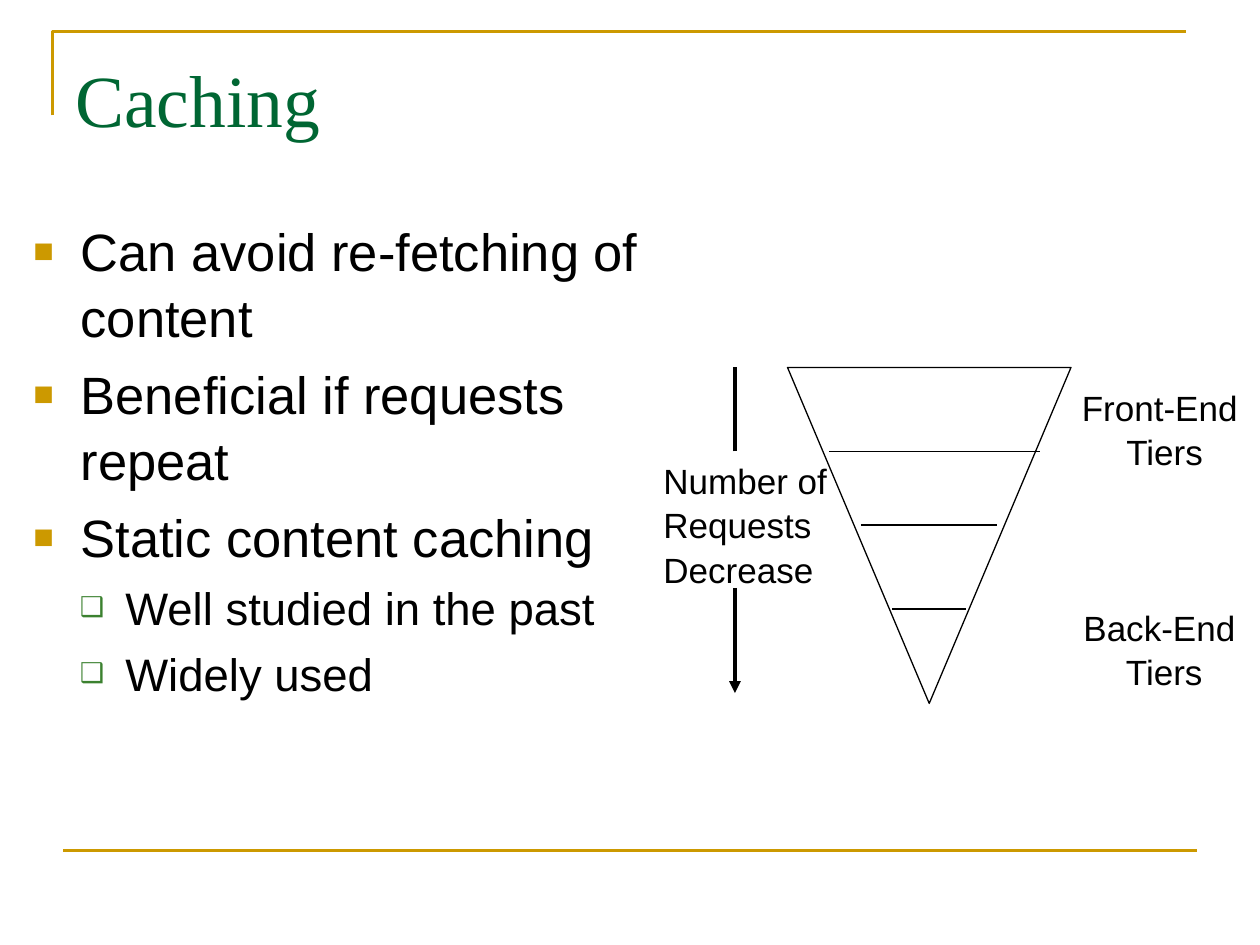
from typing import NamedTuple

import pptx
import pptx.dml.color
import pptx.enum.shapes
import pptx.enum.text
import pptx.oxml
import pptx.oxml.ns
import pptx.util
from lxml import etree

Pt = pptx.util.Pt
ALIGN = pptx.enum.text.PP_ALIGN
GOLD, GREEN, BLACK = "CC9900", "006633", "000000"
LINE_SPACING = 1.05


class Rule(NamedTuple):
    x1: float
    y1: float
    x2: float
    y2: float
    color: str = BLACK
    width: float = 0.75
    arrow: bool = False


class Label(NamedTuple):
    x: float
    y: float
    w: float
    h: float
    lines: tuple[str, ...]
    align: ALIGN = ALIGN.CENTER


class Level(NamedTuple):
    size: float
    left: float
    hanging: float
    bullet: str
    color: str
    percent: int


LEVELS = (
    Level(30, 27, 27, "■", GOLD, 65),
    Level(26, 52.5, 26, "❑", "3B812F", 60),
)
BODY = (
    (0, "Can avoid re-fetching of content"),
    (0, "Beneficial if requests repeat"),
    (0, "Static content caching"),
    (1, "Well studied in the past"),
    (1, "Widely used"),
)
RULES = (
    Rule(36, 486, 684, 486, GOLD, 1.5),
    Rule(474, 258, 594, 258),
    Rule(492, 300, 570, 300),
    Rule(510, 348, 552, 348),
    Rule(420, 258, 420, 210, width=2.25),
    Rule(420, 336, 420, 396, width=2.25, arrow=True),
)
LABELS = (
    Label(611, 216, 109, 55.4, ("Front-End ", "Tiers")),
    Label(612, 342, 106.6, 55.4, ("Back-End ", "Tiers")),
    Label(372, 258, 108, 79.5, ("Number of", "Requests", "Decrease"), ALIGN.LEFT),
)


def rgb(color: str) -> pptx.dml.color.RGBColor:
    return pptx.dml.color.RGBColor.from_string(color)


def add_child(parent, tag: str, **attrs: str):
    child = etree.SubElement(parent, pptx.oxml.ns.qn(tag))
    for name, value in attrs.items():
        child.set(name, value)
    return child


def set_outline(sp, color: str, width: float) -> None:
    sp.line.color.rgb = rgb(color)
    sp.line.width = Pt(width)


def add_rule(s, rule: Rule) -> None:
    cxn = s.shapes.add_connector(
        pptx.enum.shapes.MSO_CONNECTOR.STRAIGHT,
        Pt(rule.x1), Pt(rule.y1), Pt(rule.x2), Pt(rule.y2))
    set_outline(cxn, rule.color, rule.width)
    if rule.arrow:
        add_child(cxn.line._get_or_add_ln(), "a:tailEnd", type="triangle")
    add_child(cxn._element.spPr, "a:effectLst")


def add_corner(s) -> None:
    """Draw the gold angle around the top left of the title."""
    fb = s.shapes.build_freeform(Pt(30), Pt(66))
    fb.add_line_segments([(Pt(30), Pt(18)), (Pt(678), Pt(18))], close=False)
    sp = fb.convert_to_shape()
    sp.shadow.inherit = False
    sp.fill.background()
    set_outline(sp, GOLD, 1.5)


def add_funnel(s) -> None:
    """Draw the triangle of tiers, point down."""
    sp = s.shapes.add_shape(
        pptx.enum.shapes.MSO_SHAPE.ISOSCELES_TRIANGLE,
        Pt(450), Pt(210), Pt(162), Pt(192))
    sp._element.spPr.find(pptx.oxml.ns.qn("a:xfrm")).set("flipV", "1")
    sp.shadow.inherit = False
    sp.fill.background()
    set_outline(sp, BLACK, 0.75)


def add_frame(s, x: float, y: float, w: float, h: float, wrap: bool = True):
    tf = s.shapes.add_textbox(Pt(x), Pt(y), Pt(w), Pt(h)).text_frame
    tf.word_wrap = wrap
    return tf


def next_paragraph(tf, index: int):
    p = tf.add_paragraph() if index else tf.paragraphs[0]
    p.line_spacing = LINE_SPACING
    return p


def add_run(p, text: str, size: float, color: str = BLACK, font: str = "Arial") -> None:
    r = p.add_run()
    r.text = text
    r.font.size = Pt(size)
    r.font.name = font
    r.font.color.rgb = rgb(color)


def set_bullet(p, level: Level) -> None:
    pPr = p._p.get_or_add_pPr()
    pPr.set("marL", str(Pt(level.left)))
    pPr.set("indent", str(-Pt(level.hanging)))
    add_child(add_child(pPr, "a:buClr"), "a:srgbClr", val=level.color)
    add_child(pPr, "a:buSzPct", val=str(level.percent * 1000))
    add_child(pPr, "a:buFont", typeface="Arial")
    add_child(pPr, "a:buChar", char=level.bullet)


def add_title(s) -> None:
    tf = add_frame(s, 36, 21.6, 648, 90)
    tf.margin_top = Pt(9)
    add_run(tf.paragraphs[0], "Caching", 42, GREEN, "Times New Roman")


def add_body(s) -> None:
    tf = add_frame(s, 12, 120, 372, 356)
    for i, (depth, text) in enumerate(BODY):
        level = LEVELS[depth]
        p = next_paragraph(tf, i)
        if i:
            p.space_before = Pt(0.2 * level.size)
        set_bullet(p, level)
        add_run(p, text, level.size)


def add_label(s, label: Label) -> None:
    tf = add_frame(s, label.x, label.y, label.w, label.h, wrap=False)
    for i, text in enumerate(label.lines):
        p = next_paragraph(tf, i)
        p.alignment = label.align
        add_run(p, text, 20)


def main() -> None:
    prs = pptx.Presentation()
    prs.slide_width, prs.slide_height = Pt(720), Pt(540)
    s = prs.slides.add_slide(prs.slide_layouts[6])
    add_corner(s)
    add_title(s)
    add_body(s)
    add_funnel(s)
    for rule in RULES:
        add_rule(s, rule)
    for label in LABELS:
        add_label(s, label)
    prs.save("out.pptx")


if __name__ == "__main__":
    main()
